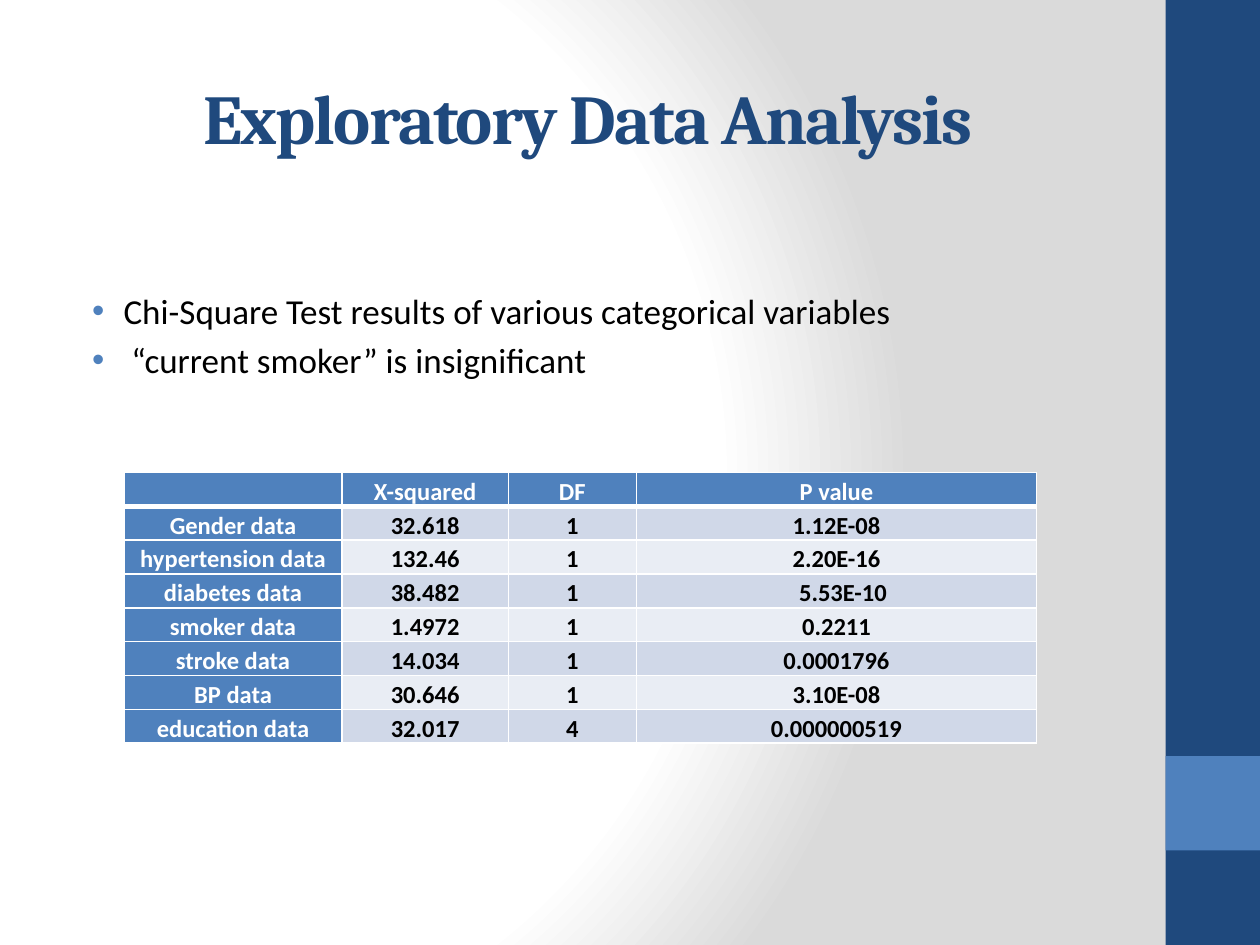
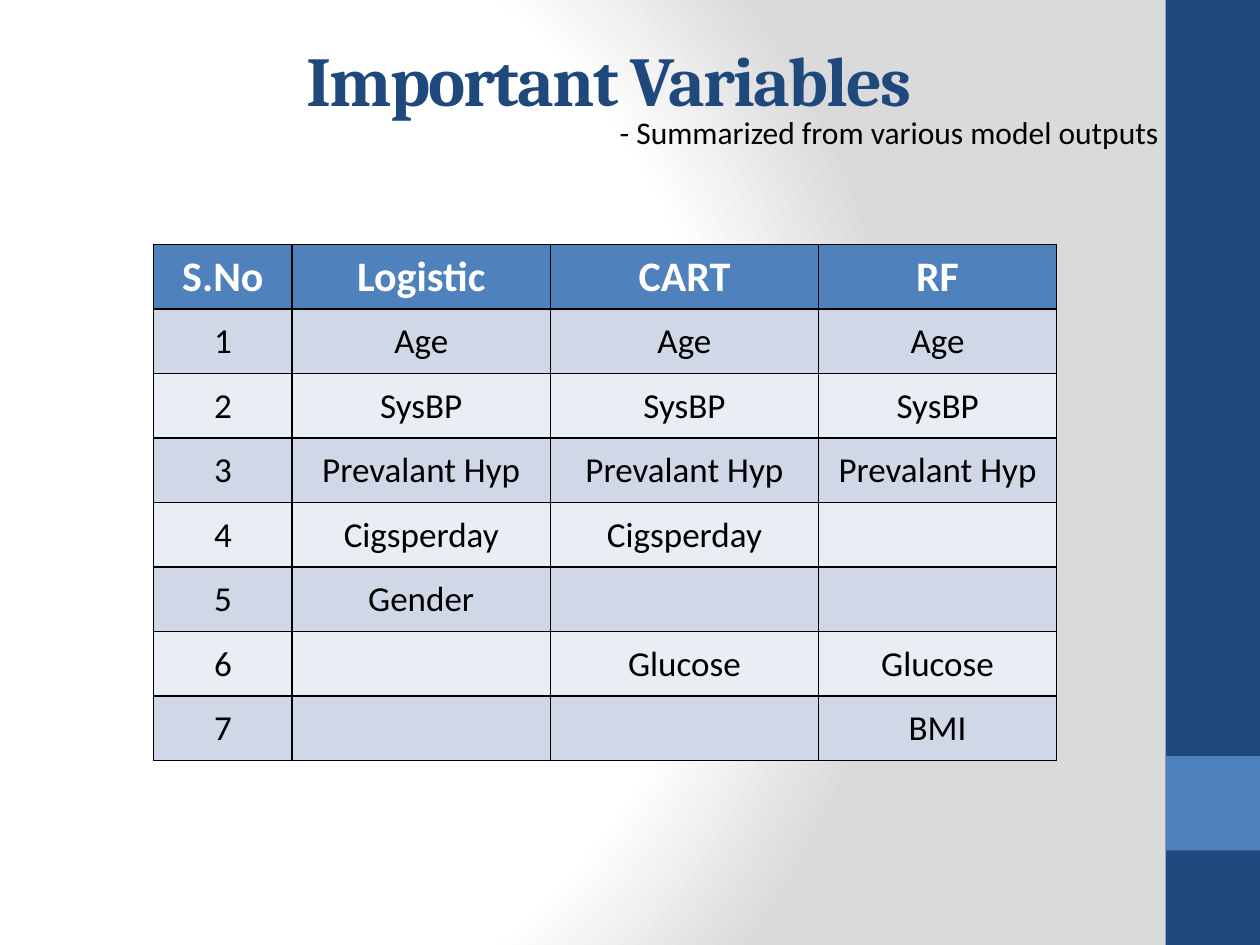
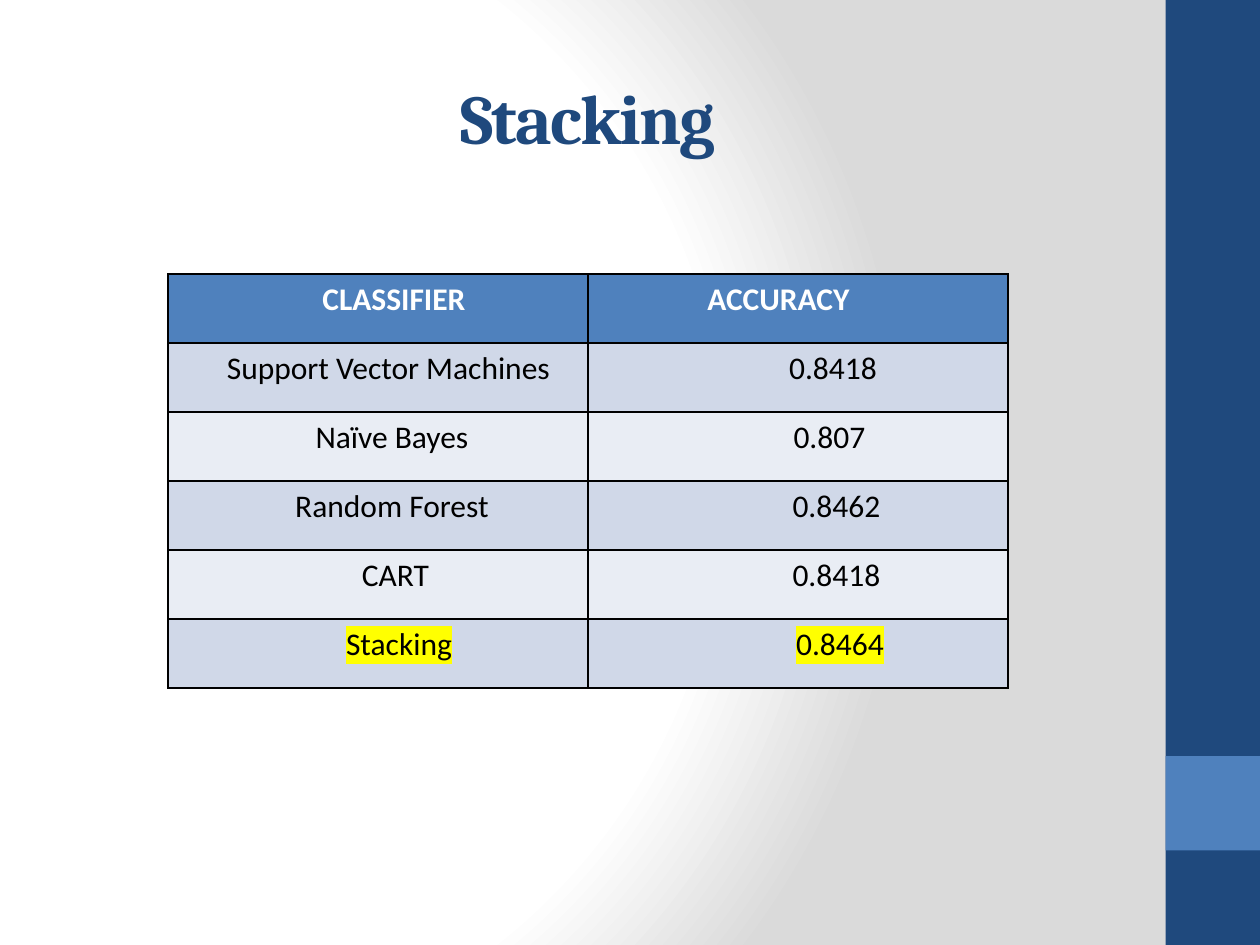
from dataclasses import dataclass

from lxml.etree import SubElement
from pptx import Presentation
from pptx.dml.color import RGBColor
from pptx.enum.shapes import MSO_SHAPE
from pptx.enum.text import MSO_ANCHOR, MSO_AUTO_SIZE, PP_ALIGN
from pptx.oxml import parse_xml
from pptx.oxml.ns import nsdecls, qn
from pptx.util import Pt

COLORS = {
    "navy": "1F497D",
    "blue": "4F81BD",
    "band_dark": "D0D8E8",
    "band_light": "E9EDF4",
    "white": "FFFFFF",
    "grey": "DADADA",
    "black": "000000",
    "marker": "FFFF00",
}
HEADING_FONT = "Cambria"
BODY_FONT = "Calibri"
TITLE_ONLY = 5

CHI_SQUARE_ROWS = [
    ("", "X-squared", "DF", "P value"),
    ("Gender data", "32.618", "1", "1.12E-08"),
    ("hypertension data", "132.46", "1", "2.20E-16"),
    ("diabetes data", "38.482", "1", "5.53E-10"),
    ("smoker data", "1.4972", "1", "0.2211"),
    ("stroke data", "14.034", "1", "0.0001796"),
    ("BP data", "30.646", "1", "3.10E-08"),
    ("education data", "32.017", "4", "0.000000519"),
]
VARIABLE_ROWS = [
    ("S.No", "Logistic", "CART", "RF"),
    ("1", "Age", "Age", "Age"),
    ("2", "SysBP", "SysBP", "SysBP"),
    ("3", "Prevalant Hyp", "Prevalant Hyp", "Prevalant Hyp"),
    ("4", "Cigsperday", "Cigsperday", ""),
    ("5", "Gender", "", ""),
    ("6", "", "Glucose", "Glucose"),
    ("7", "", "", "BMI"),
]
ACCURACY_ROWS = [
    ("CLASSIFIER", "ACCURACY"),
    ("Support Vector Machines", "0.8418"),
    ("Naïve Bayes", "0.807"),
    ("Random Forest", "0.8462"),
    ("CART", "0.8418"),
    ("Stacking", "0.8464"),
]
# Left indents of the accuracy cells, in points.
ACCURACY_INDENTS = [(81, 61), (12, 40), (16, 36), (16, 44), (20, 44), (24, 48)]


@dataclass
class TableStyle:
    border: str
    size: float
    header_size: float
    anchor: MSO_ANCHOR
    margins: tuple  # left, top, right, bottom
    header_rule: float = 1
    line_spacing: float = 1.0
    label_column: bool = False
    bold_body: bool = False


def rgb(name):
    return RGBColor.from_string(COLORS[name])


def format_runs(paragraph, size, color="black", bold=False, name=BODY_FONT):
    for run in paragraph.runs:
        font = run.font
        font.size = Pt(size)
        font.bold = bold
        font.color.rgb = rgb(color)
        font.name = name


def indent(paragraph, left, first_line=0):
    properties = paragraph._p.get_or_add_pPr()
    properties.set("marL", str(Pt(left)))
    properties.set("indent", str(Pt(first_line)))
    return properties


def highlight(paragraph):
    for run in paragraph.runs:
        run.font._element.find(qn("a:solidFill")).addnext(parse_xml(
            f'<a:highlight {nsdecls("a")}><a:srgbClr val="{COLORS["marker"]}"/></a:highlight>'))


def set_background(master):
    """Give the master a circular gradient, from white to grey."""
    fill = master.background.fill
    fill.solid()
    fill.fore_color.rgb = rgb("white")
    stops = "".join(
        f'<a:gs pos="{percent * 1000}"><a:srgbClr val="{COLORS[color]}"/></a:gs>'
        for percent, color in [(0, "white"), (75, "white"), (100, "grey")])
    solid = master.element.xpath("p:cSld/p:bg/p:bgPr/a:solidFill")[0]
    solid.getparent().replace(solid, parse_xml(
        f'<a:gradFill {nsdecls("a")} rotWithShape="1"><a:gsLst>{stops}</a:gsLst>'
        '<a:path path="circle"><a:fillToRect l="20000" t="50000" r="100000" b="50000"/>'
        '</a:path></a:gradFill>'))


def add_side_bands(slide, master):
    """Draw the bands on a slide, then move them to the master."""
    for top, height, color in [(0, 540, "navy"), (432, 54, "blue")]:
        band = slide.shapes.add_shape(
            MSO_SHAPE.RECTANGLE, Pt(666), Pt(top), Pt(54), Pt(height))
        band.shadow.inherit = False
        band.fill.solid()
        band.fill.fore_color.rgb = rgb(color)
        band.line.fill.background()
        master.element.cSld.spTree.append(band.element)


def add_titled_slide(prs, text, left=36, top=21.6):
    slide = prs.slides.add_slide(prs.slide_layouts[TITLE_ONLY])
    title = slide.shapes.title
    title.left, title.top, title.width, title.height = Pt(left), Pt(top), Pt(600), Pt(90)
    frame = title.text_frame
    frame.text = text
    frame.auto_size = MSO_AUTO_SIZE.NONE
    frame.vertical_anchor = MSO_ANCHOR.MIDDLE
    heading = frame.paragraphs[0]
    heading.alignment = PP_ALIGN.CENTER
    format_runs(heading, 40, "navy", True, HEADING_FONT)
    heading.runs[0].font._element.set("spc", "-100")
    return slide


def add_text(slide, lines, left, top, width, height, size):
    frame = slide.shapes.add_textbox(Pt(left), Pt(top), Pt(width), Pt(height)).text_frame
    frame.word_wrap = True
    frame.text = "\n".join(lines)
    for paragraph in frame.paragraphs:
        format_runs(paragraph, size)
    return frame


def add_bullets(slide, lines, left, top, width, height, size):
    frame = add_text(slide, lines, left, top, width, height, size)
    for paragraph in frame.paragraphs:
        paragraph.space_before = Pt(size * 0.2)
        properties = indent(paragraph, 27, -18)
        bullet_color = SubElement(properties, qn("a:buClr"))
        SubElement(bullet_color, qn("a:srgbClr")).set("val", COLORS["blue"])
        SubElement(properties, qn("a:buFont")).set("typeface", "Arial")
        SubElement(properties, qn("a:buChar")).set("char", "•")


def set_borders(cell, color, top, bottom):
    widths = {"lnL": 1, "lnR": 1, "lnT": top, "lnB": bottom}
    for position, (side, width) in enumerate(widths.items()):
        cell._tc.get_or_add_tcPr().insert(position, parse_xml(
            f'<a:{side} {nsdecls("a")} w="{Pt(width)}"><a:solidFill>'
            f'<a:srgbClr val="{COLORS[color]}"/></a:solidFill></a:{side}>'))


def fill_cell(cell, text, row, column, style):
    is_header = row == 0
    is_label = is_header or (style.label_column and column == 0)
    size = style.header_size if is_header else style.size
    cell.fill.solid()
    band = "band_dark" if row % 2 else "band_light"
    cell.fill.fore_color.rgb = rgb("blue" if is_label else band)
    cell.vertical_anchor = style.anchor
    (cell.margin_left, cell.margin_top,
     cell.margin_right, cell.margin_bottom) = map(Pt, style.margins)
    cell.text_frame.text = text
    paragraph = cell.text_frame.paragraphs[0]
    paragraph.alignment = PP_ALIGN.CENTER
    paragraph.line_spacing = style.line_spacing
    format_runs(paragraph, size, "white" if is_label else "black",
                is_label or style.bold_body)
    if not text:
        SubElement(paragraph._p, qn("a:endParaRPr")).set("sz", str(size * 100))
    set_borders(cell, style.border,
                top=style.header_rule if row == 1 else 1,
                bottom=style.header_rule if is_header else 1)


def add_data_table(slide, rows, left, top, widths, row_height, style):
    table = slide.shapes.add_table(
        len(rows), len(widths), Pt(left), Pt(top),
        Pt(sum(widths)), Pt(row_height * len(rows))).table
    for column, width in zip(table.columns, widths):
        column.width = Pt(width)
    for row, values in enumerate(rows):
        table.rows[row].height = Pt(row_height)
        for column, text in enumerate(values):
            fill_cell(table.cell(row, column), text, row, column, style)
    return table


def first_paragraph(table, row, column):
    return table.cell(row, column).text_frame.paragraphs[0]


def build_exploration(prs):
    slide = add_titled_slide(prs, "Exploratory Data Analysis")
    add_side_bands(slide, prs.slide_master)
    add_bullets(slide, ["Chi-Square Test results of various categorical variables",
                        " “current smoker” is insignificant"],
                36.5, 162, 600, 378, 20)
    style = TableStyle("white", 14, 14, MSO_ANCHOR.BOTTOM, (5, 0, 5, 0), header_rule=3,
                       line_spacing=1.15, label_column=True, bold_body=True)
    chi_square = add_data_table(slide, CHI_SQUARE_ROWS, 70.9, 270,
                                [124.6, 95, 73.2, 228.7], 18.63, style)
    diabetes_p_value = first_paragraph(chi_square, 3, 3)
    diabetes_p_value.alignment = PP_ALIGN.LEFT
    indent(diabetes_p_value, 0, 88)


def build_variables(prs):
    slide = add_titled_slide(prs, "Important Variables", left=48, top=0)
    subtitle = add_text(slide, ["- Summarized from various model outputs"],
                        347, 61.2, 325, 29, 18)
    subtitle.auto_size = MSO_AUTO_SIZE.SHAPE_TO_FIT_TEXT
    style = TableStyle("black", 20, 24, MSO_ANCHOR.MIDDLE, (0.7, 0.7, 0.7, 0))
    add_data_table(slide, VARIABLE_ROWS, 87.7, 139.7,
                   [79.3, 147.5, 153.3, 136], 36.86, style)


def build_stacking(prs):
    slide = add_titled_slide(prs, "Stacking")
    style = TableStyle("black", 18, 18, MSO_ANCHOR.TOP, (7.2, 3.6, 7.2, 3.6))
    accuracy = add_data_table(slide, ACCURACY_ROWS, 96, 156.7, [240, 240], 39.45, style)
    for row, indents in enumerate(ACCURACY_INDENTS):
        for column, left in enumerate(indents):
            paragraph = first_paragraph(accuracy, row, column)
            indent(paragraph, left)
            if row == 0:
                paragraph.alignment = PP_ALIGN.LEFT
            if row == len(ACCURACY_ROWS) - 1:
                highlight(paragraph)


def main():
    prs = Presentation()
    prs.slide_width, prs.slide_height = Pt(720), Pt(540)
    set_background(prs.slide_master)
    build_exploration(prs)
    build_variables(prs)
    build_stacking(prs)
    prs.save("out.pptx")


if __name__ == "__main__":
    main()
